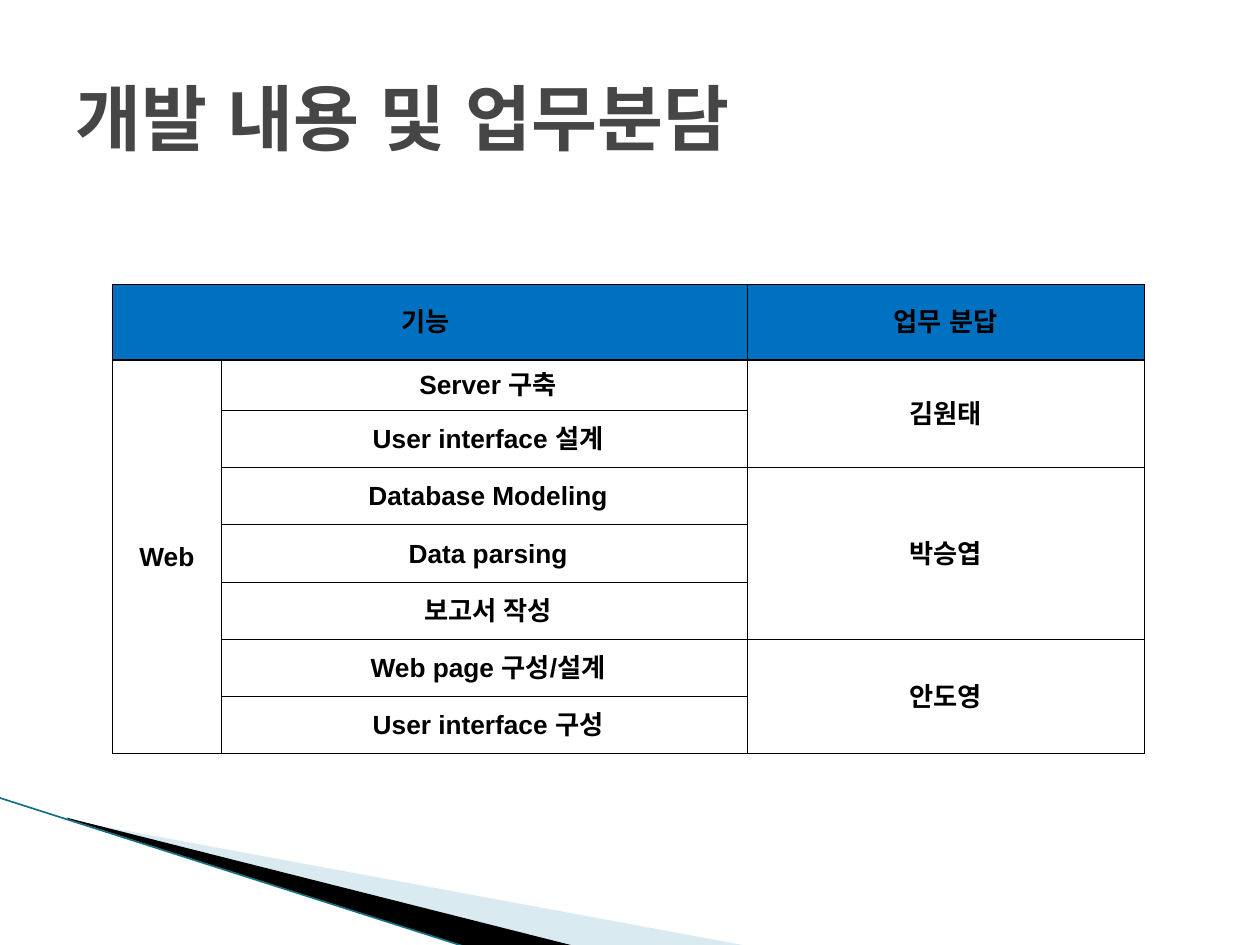
from lxml.etree import SubElement
from pptx import Presentation
from pptx.dml.color import RGBColor as RGB
from pptx.enum.shapes import MSO_CONNECTOR as CONN
from pptx.enum.text import MSO_ANCHOR as ANCHOR, PP_ALIGN as ALIGN
from pptx.oxml.ns import qn
from pptx.util import Inches, Pt

COLORS = {"title": "464646", "text": "000000", "head": "0070C0", "body": "FFFFFF",
          "border": "000000", "pale": "A0CBDC", "dark": "000000", "edge": "167080"}
TASKS = [(" Server 구축", "김원태"), (" User interface 설계", "김원태"),
         (" Database Modeling", "박승엽"), (" Data parsing", "박승엽"), (" 보고서 작성", "박승엽"),
         (" Web page 구성/설계", "안도영"), (" User interface 구성", "안도영")]
MERGES = [(0, 0, 0, 1), (1, 0, 7, 0), (1, 2, 2, 2), (3, 2, 5, 2), (6, 2, 7, 2)]


class Deck:
    """Draws styled elements on one slide, in a grid of 100 columns by 75 rows."""

    def __init__(self, width=10, height=7.5):
        self.prs = Presentation()
        self.prs.slide_width, self.prs.slide_height = Inches(width), Inches(height)
        self.col, self.row = self.prs.slide_width / 100, self.prs.slide_height / 75
        self.s = self.prs.slides.add_slide(self.prs.slide_layouts[6])

    def grid(self, *values):
        return [round(v * (self.row if i % 2 else self.col)) for i, v in enumerate(values)]

    def style(self, p, font, size, color, align=ALIGN.LEFT):
        p.alignment = align
        for r in p.runs:
            r.font.name, r.font.size, r.font.bold = font, Pt(size), True
            r.font.color.rgb = RGB.from_string(COLORS[color])
            SubElement(r.font._element, qn("a:ea"), typeface="Arial")

    def polygon(self, points, frame, color, opacity=100):
        points = [tuple(self.grid(*pt)) for pt in points]
        builder = self.s.shapes.build_freeform(*points[0], scale=1)
        builder.add_line_segments(points[1:], close=True)
        sp = builder.convert_to_shape()
        self.reframe(sp, *self.grid(*frame))
        sp.shadow.inherit = False
        sp.line.fill.background()
        sp.fill.solid()
        sp.fill.fore_color.rgb = RGB.from_string(COLORS[color])
        if opacity < 100:
            clr = sp._element.spPr.find(".//" + qn("a:srgbClr"))
            SubElement(clr, qn("a:alpha"), val=str(opacity * 1000))

    def reframe(self, sp, left, top, width, height):
        outline = sp._element.spPr.find(".//" + qn("a:pathLst"))[0]
        for pt in outline.iter(qn("a:pt")):
            pt.set("x", str(int(pt.get("x")) + sp.left - left))
            pt.set("y", str(int(pt.get("y")) + sp.top - top))
        outline.set("w", str(width))
        outline.set("h", str(height))
        sp.left, sp.top, sp.width, sp.height = left, top, width, height

    def line(self, start, end, color, width):
        sp = self.s.shapes.add_connector(CONN.STRAIGHT, *self.grid(*start, *end))
        sp.line.color.rgb, sp.line.width = RGB.from_string(COLORS[color]), Pt(width)
        SubElement(sp._element.spPr, qn("a:effectLst"))

    def title(self, text, box):
        tf = self.s.shapes.add_textbox(*self.grid(*box)).text_frame
        tf.word_wrap, tf.vertical_anchor = True, ANCHOR.MIDDLE
        tf.text = text
        self.style(tf.paragraphs[0], "DejaVu Sans Mono", 41, "title")

    def borders(self, cell, top, bottom):
        widths = {"a:lnL": 0.5, "a:lnR": 0.5, "a:lnT": top, "a:lnB": bottom}
        for tag, width in widths.items():
            ln = SubElement(cell._tc.get_or_add_tcPr(), qn(tag), w=str(Pt(width)))
            fill = SubElement(ln, qn("a:solidFill"))
            SubElement(fill, qn("a:srgbClr"), val=COLORS["border"])

    def cell(self, cell, text, head, below_head):
        cell.margin_left = cell.margin_right = cell.margin_top = Inches(0.01)
        cell.margin_bottom, cell.vertical_anchor = 0, ANCHOR.MIDDLE
        self.borders(cell, 1.5 if below_head else 0.5, 1.5 if head else 0.5)
        cell.fill.solid()
        cell.fill.fore_color.rgb = RGB.from_string(COLORS["head" if head else "body"])
        cell.text_frame.text = text
        self.style(cell.text_frame.paragraphs[0], "Arial", 15, "text", ALIGN.CENTER)

    def table(self, rows, left, top, cols, heights, merges):
        box = self.grid(left, top, sum(cols), sum(heights))
        tbl = self.s.shapes.add_table(len(rows), len(cols), *box).table
        for column, width in zip(tbl.columns, cols):
            column.width = round(width * self.col)
        for row, height in zip(tbl.rows, heights):
            row.height = round(height * self.row)
        for r1, c1, r2, c2 in merges:
            tbl.cell(r1, c1).merge(tbl.cell(r2, c2))
        for i, texts in enumerate(rows):
            for j, text in enumerate(texts):
                cell = tbl.cell(i, j)
                self.cell(cell, "" if cell.is_spanned else text, i == 0, i == 1)


def main():
    deck = Deck()
    deck.polygon([(5.5, 65.1), (59.5, 75.1), (45.6, 75.1), (5.5, 65)],
                 (7.8, 54.7, 41.6, 15.8), "pale", 40)
    deck.polygon([(5.3, 64.9), (45.7, 75.1), (37.2, 75.2), (5.4, 65)],
                 (-0.6, 63.3, 41.6, 9.2), "dark")
    deck.line((-0.1, 63.3), (37.1, 75.2), "edge", 0.95)
    deck.title("개발 내용 및 업무분담", (5, 3, 90, 12.5))
    rows = [("기능 ", "", "업무 분답")] + [("Web", task, owner) for task, owner in TASKS]
    deck.table(rows, 8.9, 22.54, [8.7, 41.7, 31.5], [6.03, 4] + [4.54] * 6, MERGES)
    deck.prs.save("out.pptx")


if __name__ == "__main__":
    main()
